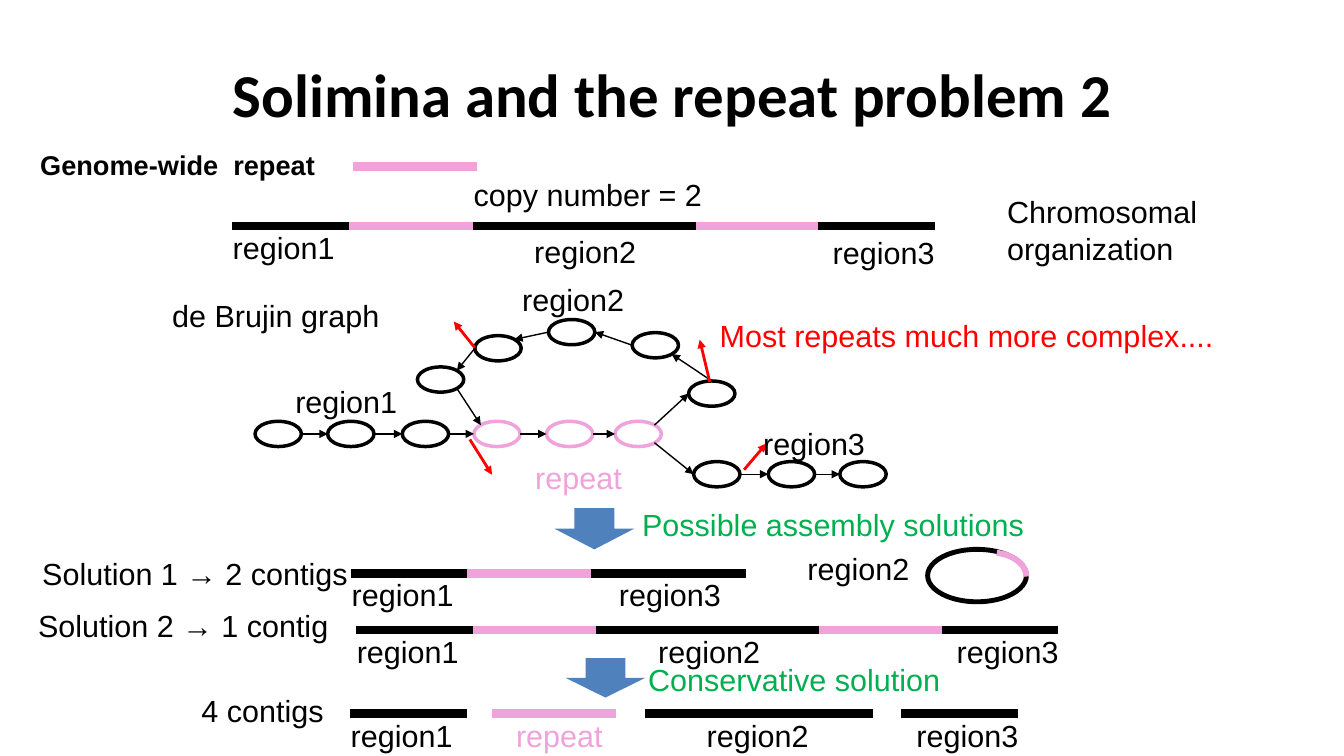
from lxml.etree import SubElement
from pptx import Presentation
from pptx.dml.color import RGBColor
from pptx.enum.shapes import MSO_CONNECTOR, MSO_SHAPE
from pptx.enum.text import MSO_ANCHOR, MSO_AUTO_SIZE, PP_ALIGN
from pptx.oxml.ns import qn
from pptx.util import Pt

EMU_PER_PX = 9144  # 100 px to the inch
COLORS = {
    "black": "000000", "white": "FFFFFF", "repeat": "F0A2DB",
    "branch": "FF0000", "heading": "00B050", "step": "4F81BD",
}
REGION_W, REPEAT_W, LABEL_H = 122, 107, 47
NODE_W, NODE_H = 46, 25
NODES = {
    "region1_a": (253, 418), "region1_b": (325, 418), "region1_c": (399, 418),
    "repeat_a": (470, 418), "repeat_b": (542, 418), "repeat_c": (610, 418),
    "region2_a": (683, 378), "region2_b": (627, 330), "region2_c": (544, 317),
    "region2_d": (471, 333), "region2_e": (414, 364),
    "region3_a": (688, 458), "region3_b": (762, 458), "region3_c": (833, 458),
}
# Points on a node's outline, as shares of its width and height
SITES = {
    "left": (0, 0.5), "right": (1, 0.5), "top": (0.5, 0),
    "top left": (0.15, 0.15), "top right": (0.85, 0.15), "bottom right": (0.85, 0.85),
}
EDGES = [
    ("region1_a", "right", "region1_b", "left"),
    ("region1_b", "right", "region1_c", "left"),
    ("region1_c", "right", "repeat_a", "left"),
    ("repeat_a", "right", "repeat_b", "left"),
    ("repeat_b", "right", "repeat_c", "left"),
    ("repeat_c", "top right", "region2_a", "left"),
    ("repeat_c", "bottom right", "region3_a", "left"),
    ("region3_a", "right", "region3_b", "left"),
    ("region3_b", "right", "region3_c", "left"),
    ("region2_a", "top", "region2_b", "bottom right"),
    ("region2_b", "left", "region2_c", "right"),
    ("region2_c", "left", "region2_d", "top right"),
    ("region2_d", "left", "region2_e", "top right"),
    ("region2_e", "bottom right", "repeat_a", "top left"),
]
BRANCHES = [
    ((471, 345), (450, 319)), ((466, 436), (488, 471)),
    ((738, 466), (760, 440)), ((704, 379), (694, 337)),
]
# Height of each strand and its segments: start, end, colour
STRANDS = [
    (165, [(350, 473, "repeat")]),
    (224, [(230, 346, "black"), (346, 469, "repeat"), (469, 695, "black"),
           (690, 812, "repeat"), (811, 927, "black")]),
    (569, [(348, 463, "black"), (463, 586, "repeat"), (586, 740, "black")]),
    (625, [(353, 469, "black"), (469, 591, "repeat"), (591, 817, "black"),
           (812, 935, "repeat"), (934, 1049, "black")]),
    (708, [(347, 463, "black"), (488, 611, "repeat"), (640, 866, "black"),
           (894, 1010, "black")]),
]
REGION_LABELS = {
    "region1": [(221, 222), (283, 375), (339, 567), (344, 623), (338, 706)],
    "region2": [(520, 226), (508, 274), (791, 541), (643, 623), (691, 706)],
    "region3": [(816, 227), (747, 417), (604, 567), (939, 623), (899, 706)],
}
REPEAT_LABELS = [(521, 450), (502, 706)]


def px(value):
    return round(value * EMU_PER_PX)


def rgb(name):
    return RGBColor.from_string(COLORS[name])


def add_title(slide, text):
    title = slide.shapes.title
    title.left, title.top, title.width, title.height = map(px, (67, 25, 1200, 135))
    frame = title.text_frame
    frame.text = text
    frame.vertical_anchor = MSO_ANCHOR.MIDDLE
    frame.margin_left = frame.margin_right = frame.margin_top = frame.margin_bottom = 0
    paragraph = frame.paragraphs[0]
    paragraph.alignment = PP_ALIGN.CENTER
    font = paragraph.font
    font.name, font.size, font.bold = "Calibri", Pt(43.5), True
    font.color.rgb = rgb("black")


def add_label(slide, text, left, top, width, height=LABEL_H, color="black", size=21.8, bold=False):
    box = slide.shapes.add_textbox(px(left), px(top), px(width), px(height))
    frame = box.text_frame
    frame.text = text
    frame.word_wrap = False
    frame.auto_size = MSO_AUTO_SIZE.SHAPE_TO_FIT_TEXT
    for paragraph in frame.paragraphs:
        font = paragraph.font
        font.name, font.size, font.bold = "Arial", Pt(size), bold
        font.color.rgb = rgb(color)


def add_line(slide, start, end, color, weight, arrow=False):
    line = slide.shapes.add_connector(MSO_CONNECTOR.STRAIGHT, *map(px, (*start, *end)))
    line.line.color.rgb = rgb(color)
    line.line.width = Pt(weight)
    if arrow:
        SubElement(line.line._get_or_add_ln(), qn("a:tailEnd"), type="triangle")
    SubElement(line._element.spPr, qn("a:effectLst"))


def add_outline(slide, kind, left, top, width, height, color, weight, fill=None):
    outline = slide.shapes.add_shape(kind, *map(px, (left, top, width, height)))
    outline.shadow.inherit = False
    if fill:
        outline.fill.solid()
        outline.fill.fore_color.rgb = rgb(fill)
    else:
        outline.fill.background()
    outline.line.color.rgb = rgb(color)
    outline.line.width = Pt(weight)
    return outline


def add_step_arrow(slide, left, top, height):
    arrow = slide.shapes.add_shape(MSO_SHAPE.DOWN_ARROW, *map(px, (left, top, 79, height)))
    arrow.shadow.inherit = False
    arrow.fill.solid()
    arrow.fill.fore_color.rgb = rgb("step")
    arrow.line.fill.background()


def node_site(node, site):
    (left, top), (across, down) = NODES[node], SITES[site]
    return left + across * NODE_W, top + down * NODE_H


def add_graph(slide):
    for node, (left, top) in NODES.items():
        color = "repeat" if node.startswith("repeat") else "black"
        add_outline(slide, MSO_SHAPE.OVAL, left, top, NODE_W, NODE_H, color, 2.5, "white")
    for source, leaving, target, entering in EDGES:
        add_line(slide, node_site(source, leaving), node_site(target, entering), "black", 1, True)
    for start, end in BRANCHES:
        add_line(slide, start, end, "branch", 2, True)


def add_circular_contig(slide):
    add_outline(slide, MSO_SHAPE.OVAL, 920, 545, 98, 52, "black", 3.5)
    repeat_arc = add_outline(slide, MSO_SHAPE.ARC, 946, 548, 72, 48, "repeat", 4.25)
    repeat_arc.adjustments[0] = 171.42
    repeat_arc.adjustments[1] = 0


def main():
    prs = Presentation()
    prs.slide_width, prs.slide_height = px(1333), px(750)
    slide = prs.slides.add_slide(prs.slide_layouts[5])
    add_title(slide, "Solimina and the repeat problem 2")

    for y, segments in STRANDS:
        for start, end, color in segments:
            add_line(slide, (start, y), (end, y), color, 6)
    add_graph(slide)
    add_circular_contig(slide)
    add_step_arrow(slide, 550, 504, 41)
    add_step_arrow(slide, 561, 653, 39)

    for region, places in REGION_LABELS.items():
        for left, top in places:
            add_label(slide, region, left, top, REGION_W)
    for left, top in REPEAT_LABELS:
        add_label(slide, "repeat", left, top, REPEAT_W, color="repeat")

    add_label(slide, "Genome-wide  repeat", 30, 142, 295, 43, size=19.4, bold=True)
    add_label(slide, "copy number = 2", 460, 170, 248)
    add_label(slide, "Chromosomal\norganization", 989, 187, 219, 83)
    add_label(slide, "de Brujin graph", 161, 290, 227)
    add_label(slide, "Most repeats much more complex....", 704, 310, 514, color="branch")
    add_label(slide, "Possible assembly solutions", 627, 497, 402, color="heading")
    add_label(slide, "Solution 1 → 2 contigs", 32, 546, 325)
    add_label(slide, "Solution 2 → 1 contig", 28, 597, 310)
    add_label(slide, "Conservative solution", 633, 651, 312, color="heading")
    add_label(slide, "4 contigs", 190, 682, 142)
    prs.save("out.pptx")


if __name__ == "__main__":
    main()
